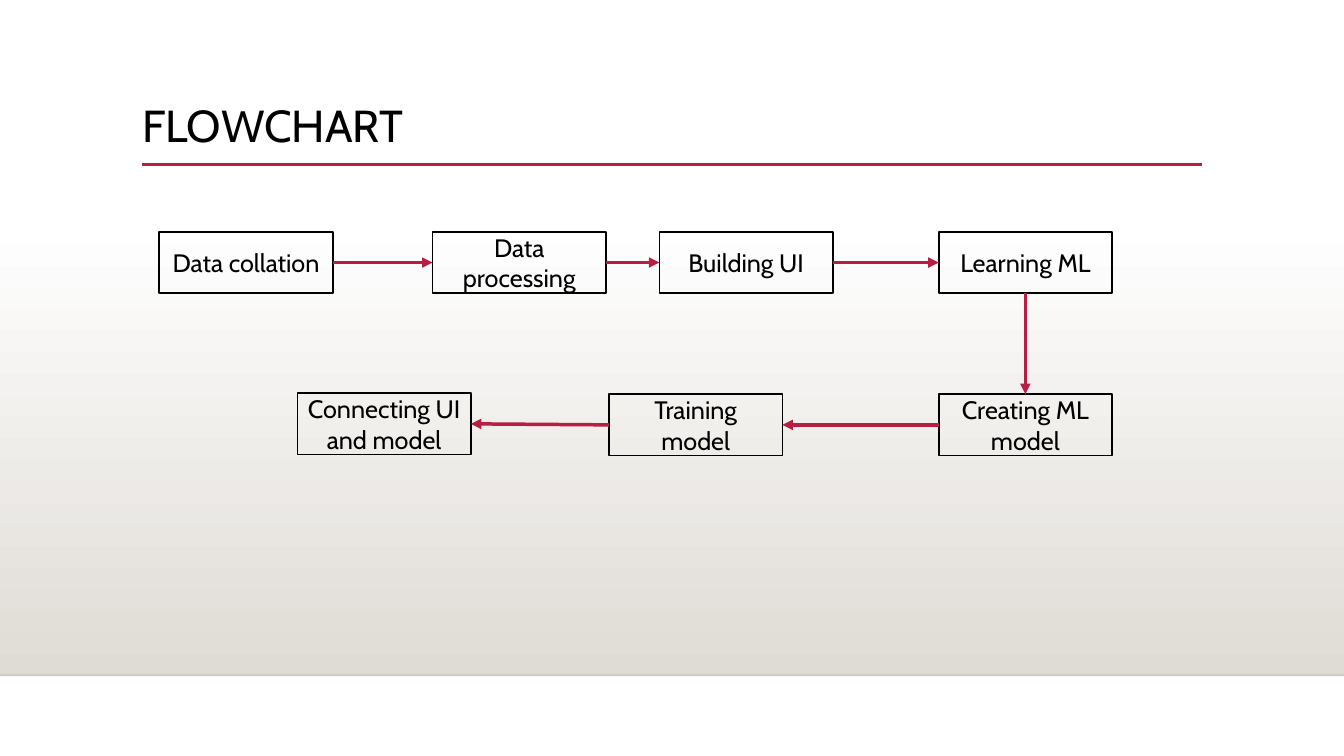
from itertools import pairwise

from lxml.etree import SubElement
from pptx import Presentation
from pptx.dml.color import RGBColor
from pptx.enum.shapes import MSO_CONNECTOR as Line, MSO_SHAPE as Shape
from pptx.enum.text import MSO_ANCHOR as Anchor, MSO_AUTO_SIZE as Fit, PP_ALIGN as Align
from pptx.oxml.ns import qn
from pptx.util import Pt

PX = 9144
TOP, LEFT, BOTTOM, RIGHT = range(4)
WIDE, HIGH = 172, 61


class Deck:
    """Holds the style and the current slide, and draws each kind of element."""

    font = "Cabin"
    hues = {"ink": "000000", "edge": "000001", "red": "B71E42", "sand": "DFDBD5", "white": "FFFFFF"}

    def __init__(self, wide, high):
        self.prs = Presentation()
        self.prs.slide_width, self.prs.slide_height = wide * PX, high * PX
        self.slide = self.prs.slides.add_slide(self.prs.slide_layouts[5])
        self.shapes = self.slide.shapes

    def hue(self, name):
        return RGBColor.from_string(self.hues[name])

    def label(self, frame, text, size, align, anchor):
        frame.text = text
        frame.word_wrap = True
        frame.auto_size = Fit.NONE
        frame.vertical_anchor = anchor
        par = frame.paragraphs[0]
        par.alignment = align
        par.font.name, par.font.size = self.font, Pt(size)
        par.font.color.rgb = self.hue("ink")
        return par

    def title(self, text, x, y, w, h):
        head = self.shapes.title
        head.left, head.top, head.width, head.height = (n * PX for n in (x, y, w, h))
        par = self.label(head.text_frame, text, 32, Align.LEFT, Anchor.TOP)
        par.line_spacing = 0.9

    def rect(self, x, y, w, h):
        rect = self.shapes.add_shape(Shape.RECTANGLE, *(n * PX for n in (x, y, w, h)))
        rect.shadow.inherit = False
        return rect

    def band(self, x, y, w, h):
        band = self.rect(x, y, w, h)
        band.line.fill.background()
        band.fill.gradient()
        band.fill.gradient_angle = 270
        for stop, name in zip(band.fill.gradient_stops, ("white", "sand")):
            stop.color.rgb = self.hue(name)

    def box(self, text, x, y):
        box = self.rect(x, y, WIDE, HIGH)
        box.fill.background()
        box.line.color.rgb = self.hue("ink")
        box.line.width = Pt(1.25)
        self.label(box.text_frame, text, 18, Align.CENTER, Anchor.MIDDLE)
        return box

    def rule(self, x1, y1, x2, y2, name="red", width=2.5, alpha=None):
        rule = self.shapes.add_connector(Line.STRAIGHT, *(n * PX for n in (x1, y1, x2, y2)))
        rule.line.color.rgb = self.hue(name)
        rule.line.width = Pt(width)
        SubElement(rule._element.spPr, qn("a:effectLst"))
        if alpha:
            color = rule._element.spPr.find(".//" + qn("a:srgbClr"))
            SubElement(color, qn("a:alpha"), val=str(alpha * 1000))
        return rule

    def arrow(self, start, out, end, into):
        arrow = self.rule(0, 0, 0, 0)
        arrow.begin_connect(start, out)
        arrow.end_connect(end, into)
        SubElement(arrow.line._get_or_add_ln(), qn("a:tailEnd"), type="triangle")

    def save(self):
        self.prs.save("out.pptx")


def main():
    deck = Deck(1333, 750)
    deck.band(0, 221, 1333, 449)
    deck.rule(0, 670, 1333, 670, "edge", 1, 20)
    deck.rule(141, 163, 1192, 163)
    deck.title("FLOWCHART", 131, 98, 1050, 115)

    steps = [
        ("Data collation", 158, 230),
        ("Data processing", 429, 230),
        ("Building UI", 654, 230),
        ("Learning ML", 931, 230),
        ("Creating ML model", 931, 391),
        ("Training model", 604, 391),
        ("Connecting UI and model", 295, 390),
    ]
    boxes = [deck.box(*step) for step in steps]
    sides = [(RIGHT, LEFT)] * 3 + [(BOTTOM, TOP)] + [(LEFT, RIGHT)] * 2
    for (start, end), (out, into) in zip(pairwise(boxes), sides):
        deck.arrow(start, out, end, into)
    deck.save()


if __name__ == "__main__":
    main()
